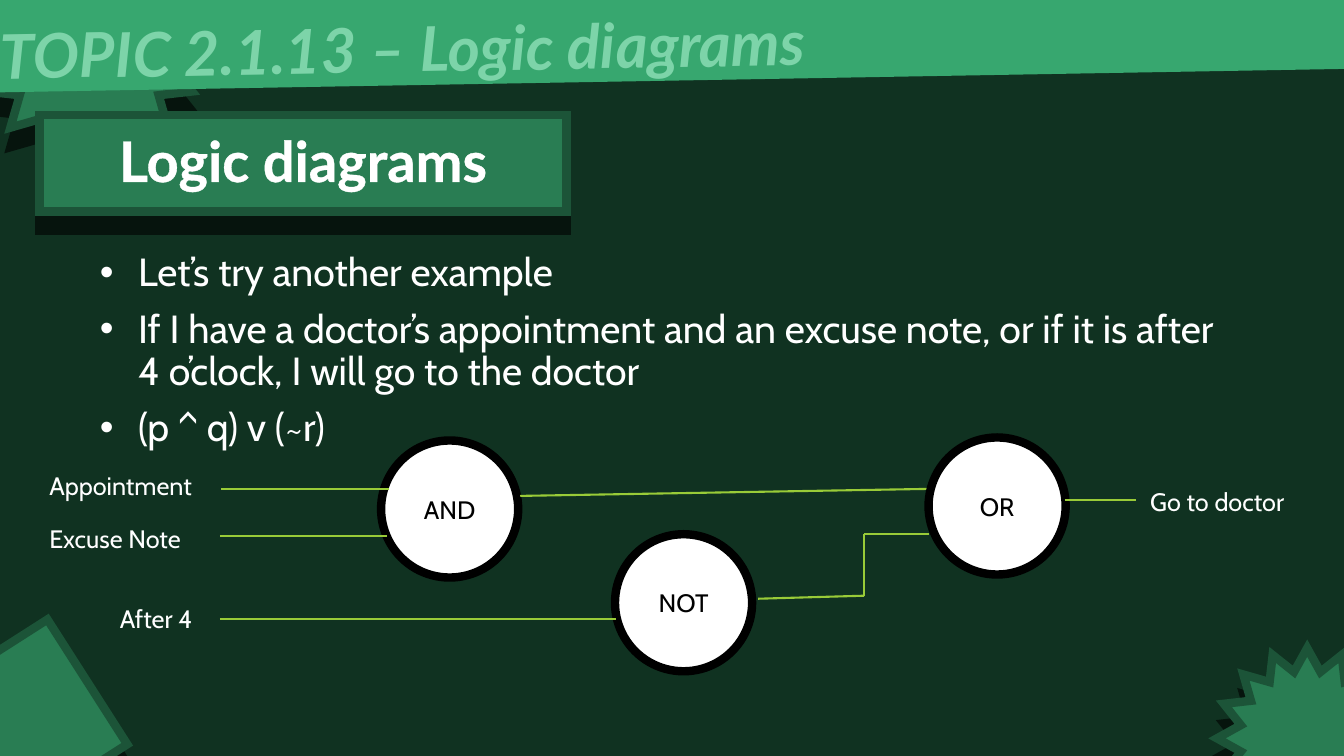
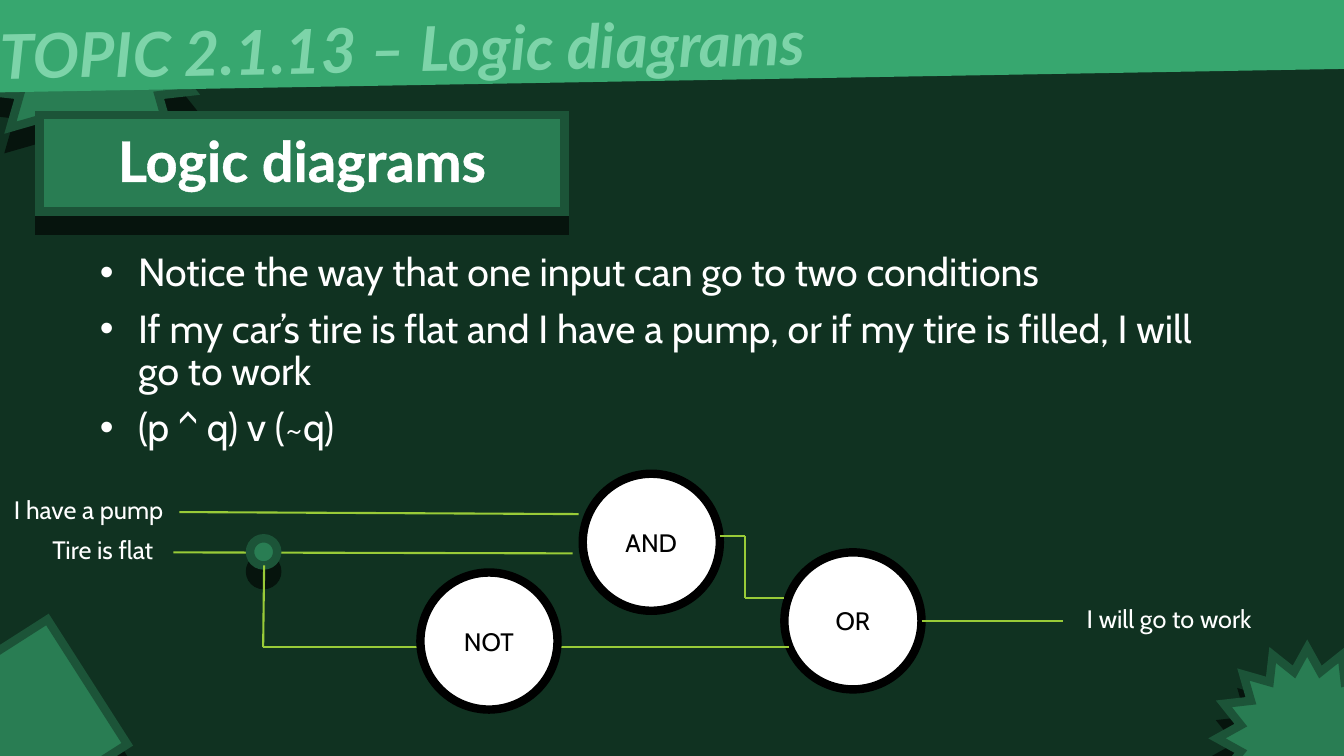
from dataclasses import dataclass
from itertools import pairwise

import pptx
import pptx.dml.color
import pptx.enum.shapes
import pptx.enum.text
import pptx.oxml.ns
import pptx.slide
import pptx.util
from lxml import etree

RGB = pptx.dml.color.RGBColor
Shape = pptx.enum.shapes.MSO_SHAPE
Align = pptx.enum.text.PP_ALIGN
Anchor = pptx.enum.text.MSO_ANCHOR
Fit = pptx.enum.text.MSO_AUTO_SIZE
Pt = pptx.util.Pt
qn = pptx.oxml.ns.qn

DARK = RGB(0x10, 0x32, 0x21)
GREEN = RGB(0x29, 0x7D, 0x53)
EDGE = RGB(0x1C, 0x54, 0x38)
SHADE = RGB(0x06, 0x14, 0x0D)
BAND = RGB(0x37, 0xA7, 0x6F)
MINT = RGB(0x7D, 0xD4, 0xA9)
LIME = RGB(0x99, 0xCB, 0x38)
WHITE = RGB(0xFF, 0xFF, 0xFF)
BLACK = RGB(0x00, 0x00, 0x00)

HEAD = "Lato"
BODY = "Cabin"
PX = 9144
GATE = 136
DOT = 27

Slide = pptx.slide.Slide
Box = tuple[int, int, int, int]
Spot = tuple[int, int]


def px(size: int) -> int:
    return size * PX


def place(shape, box: Box) -> None:
    shape.left, shape.top, shape.width, shape.height = map(px, box)


def add_run(para, text: str, size: int, face: str, color: RGB):
    run = para.add_run()
    run.text = text
    run.font.size = Pt(size)
    run.font.name = face
    run.font.color.rgb = color
    return run


def add_rim(run, color: RGB) -> None:
    run.font.bold = True
    line = etree.Element(qn("a:ln"), w=str(Pt(1.5)))
    fill = etree.SubElement(line, qn("a:solidFill"))
    etree.SubElement(fill, qn("a:srgbClr"), val=str(color))
    run._r.get_or_add_rPr().insert(0, line)


def add_form(slide: Slide, kind: Shape, box: Box, fill: RGB, edge: RGB | None):
    shape = slide.shapes.add_shape(kind, *map(px, box))
    shape.shadow.inherit = False
    shape.fill.solid()
    shape.fill.fore_color.rgb = fill
    if edge is None:
        shape.line.fill.background()
    else:
        shape.line.color.rgb = edge
        shape.line.width = Pt(6)
        line = shape._element.spPr.find(qn("a:ln"))
        etree.SubElement(line, qn("a:miter"), lim="800000")
    return shape


def add_block(slide: Slide, kind: Shape, box: Box, turn: float = 0) -> None:
    shape = add_form(slide, kind, box, GREEN, EDGE)
    shape.rotation = turn
    effects = shape._element.spPr.find(qn("a:effectLst"))
    shade = etree.SubElement(effects, qn("a:outerShdw"), dist=str(Pt(14)),
                             dir="5400000", algn="t", rotWithShape="0")
    etree.SubElement(shade, qn("a:srgbClr"), val=str(SHADE))


def add_text(slide: Slide, box: Box):
    shape = slide.shapes.add_textbox(*map(px, box))
    shape.text_frame.word_wrap = True
    return shape


@dataclass(frozen=True)
class Gate:
    name: str
    left: int
    top: int

    def draw(self, slide: Slide) -> None:
        box = (self.left, self.top, GATE, GATE)
        shape = add_form(slide, Shape.OVAL, box, WHITE, BLACK)
        shape.text_frame.vertical_anchor = Anchor.MIDDLE
        para = shape.text_frame.paragraphs[0]
        para.alignment = Align.CENTER
        add_run(para, self.name, 18, BODY, BLACK)


@dataclass(frozen=True)
class Wire:
    spots: tuple[Spot, ...]

    def draw(self, slide: Slide) -> None:
        for start, end in pairwise(self.spots):
            line = slide.shapes.add_connector(
                pptx.enum.shapes.MSO_CONNECTOR.STRAIGHT, *map(px, start + end))
            line.line.color.rgb = LIME
            line.line.width = Pt(1.5)
            etree.SubElement(line._element.spPr, qn("a:effectLst"))


@dataclass(frozen=True)
class Joint:
    left: int
    top: int

    def draw(self, slide: Slide) -> None:
        add_block(slide, Shape.OVAL, (self.left, self.top, DOT, DOT))


@dataclass(frozen=True)
class Label:
    text: str
    left: int
    top: int

    def draw(self, slide: Slide) -> None:
        shape = add_text(slide, (self.left, self.top, 188, 40))
        add_run(shape.text_frame.paragraphs[0], self.text, 18, BODY, WHITE)


@dataclass(frozen=True)
class Page:
    width: int
    points: tuple[str, ...]
    items: tuple[Gate | Wire | Joint | Label, ...]


PAGES = (
    Page(
        523,
        ("Let’s try another example",
         "If I have a doctor’s appointment and an excuse note, "
         "or if it is after 4 o’clock, I will go to the doctor",
         "(p ^ q) v (~r)"),
        (Gate("AND", 378, 437),
         Gate("NOT", 610, 530),
         Wire(((219, 485), (386, 485))),
         Wire(((218, 532), (384, 532))),
         Wire(((218, 614), (611, 614))),
         Wire(((516, 492), (921, 485))),
         Wire(((752, 594), (857, 591), (857, 530), (921, 530))),
         Gate("OR", 921, 434),
         Wire(((1056, 496), (1127, 496))),
         Label("Appointment", 39, 462),
         Label("Excuse Note", 39, 514),
         Label("After 4", 109, 594),
         Label("Go to doctor", 1131, 478)),
    ),
    Page(
        521,
        ("Notice the way that one input can go to two conditions",
         "If my car’s tire is flat and I have a pump, "
         "or if my tire is filled, I will go to work",
         "(p ^ q) v (~q)"),
        (Gate("AND", 578, 470),
         Gate("OR", 778, 548),
         Wire(((178, 508), (574, 510))),
         Wire(((172, 548), (568, 549))),
         Joint(248, 534),
         Wire(((262, 561), (261, 642), (783, 642))),
         Gate("NOT", 417, 568),
         Wire(((714, 532), (739, 532), (739, 593), (778, 593))),
         Wire(((914, 616), (1054, 616))),
         Label("I have a pump", 4, 485),
         Label("Tire is flat", 42, 525),
         Label("I will go to work", 1068, 594)),
    ),
)


def add_decor(slide: Slide) -> None:
    add_block(slide, Shape.STAR_16_POINT, (-22, -62, 221, 221))
    add_block(slide, Shape.RECTANGLE, (-57, 645, 156, 147), 327.4)
    add_block(slide, Shape.STAR_16_POINT, (1207, 643, 179, 179))
    band = add_form(slide, Shape.RECTANGLE, (-22, -68, 1386, 148), BAND, None)
    topic = add_text(slide, (-10, -1, 1587, 84))
    band.rotation = topic.rotation = 359
    run = add_run(topic.text_frame.paragraphs[0],
                  "TOPIC 2.1.13 – Logic diagrams", 44, HEAD, MINT)
    run.font.italic = True
    add_rim(run, MINT)


def raise_up(slide: Slide, holder, box: Box):
    slide.shapes._spTree.append(holder._element)
    place(holder, box)
    frame = holder.text_frame
    frame.auto_size = Fit.NONE
    frame.word_wrap = True
    frame.vertical_anchor = Anchor.TOP
    return frame


def add_title(slide: Slide, width: int) -> None:
    add_block(slide, Shape.RECTANGLE, (39, 114, width, 96))
    frame = raise_up(slide, slide.shapes.title, (44, 120, width - 10, 77))
    para = frame.paragraphs[0]
    para.alignment = Align.CENTER
    add_rim(add_run(para, "Logic diagrams", 40, HEAD, WHITE), WHITE)


def add_list(slide: Slide, points: tuple[str, ...]) -> None:
    frame = raise_up(slide, slide.placeholders[1], (89, 246, 1149, 472))
    for rank, point in enumerate(points):
        para = frame.add_paragraph() if rank else frame.paragraphs[0]
        props = para._p.get_or_add_pPr()
        props.set("marL", str(px(38)))
        props.set("indent", str(px(-38)))
        etree.SubElement(props, qn("a:buFont"), typeface="Arial")
        etree.SubElement(props, qn("a:buChar"), char="•")
        para.line_spacing = 0.9
        para.space_before = Pt(10 if rank else 0)
        add_run(para, point, 28, BODY, WHITE)


def main() -> None:
    deck = pptx.Presentation()
    deck.slide_width, deck.slide_height = px(1333), px(750)
    back = deck.slide_master.background.fill
    back.solid()
    back.fore_color.rgb = DARK
    for page in PAGES:
        slide = deck.slides.add_slide(deck.slide_layouts[1])
        add_decor(slide)
        add_title(slide, page.width)
        add_list(slide, page.points)
        for item in page.items:
            item.draw(slide)
    deck.save("out.pptx")


if __name__ == "__main__":
    main()
